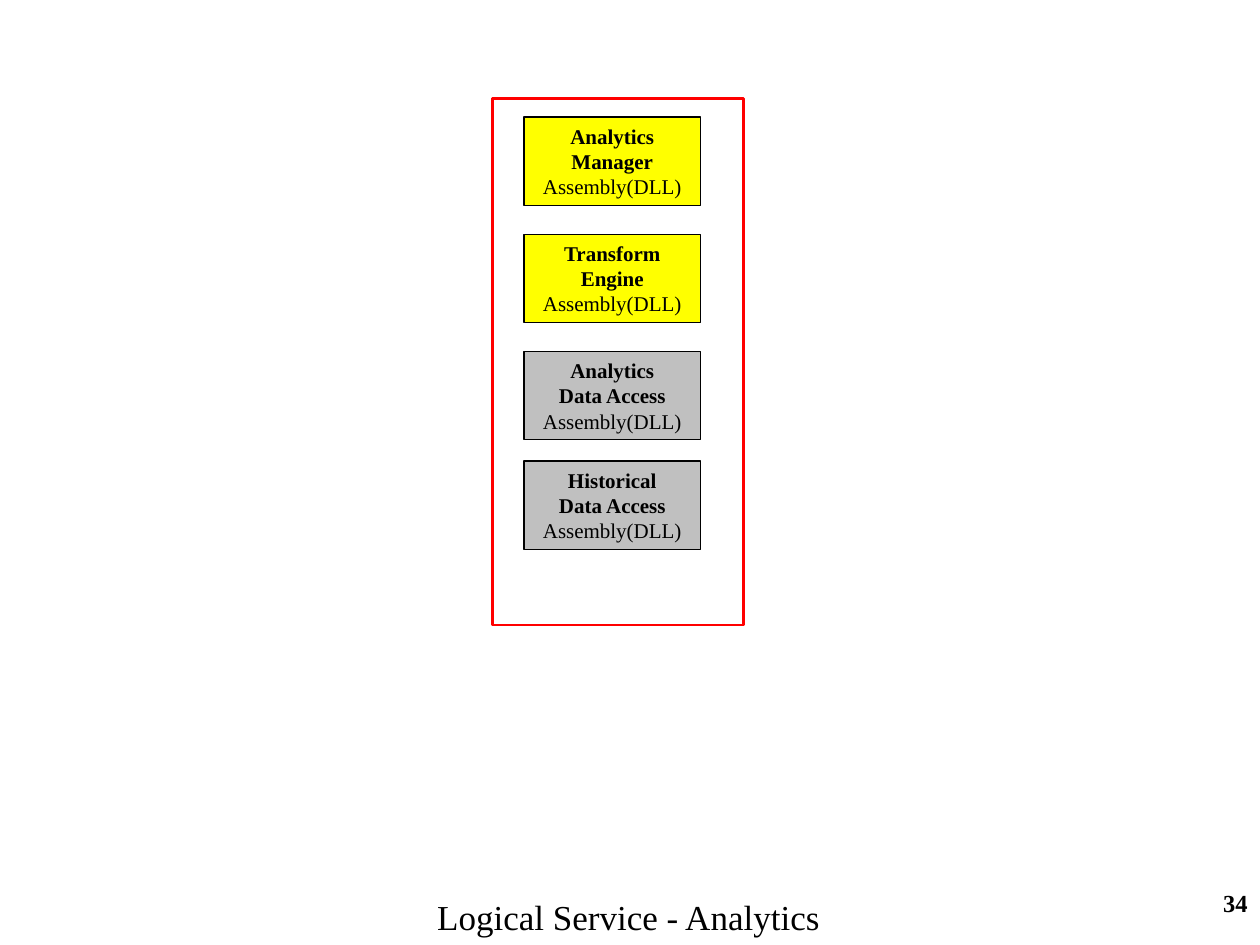
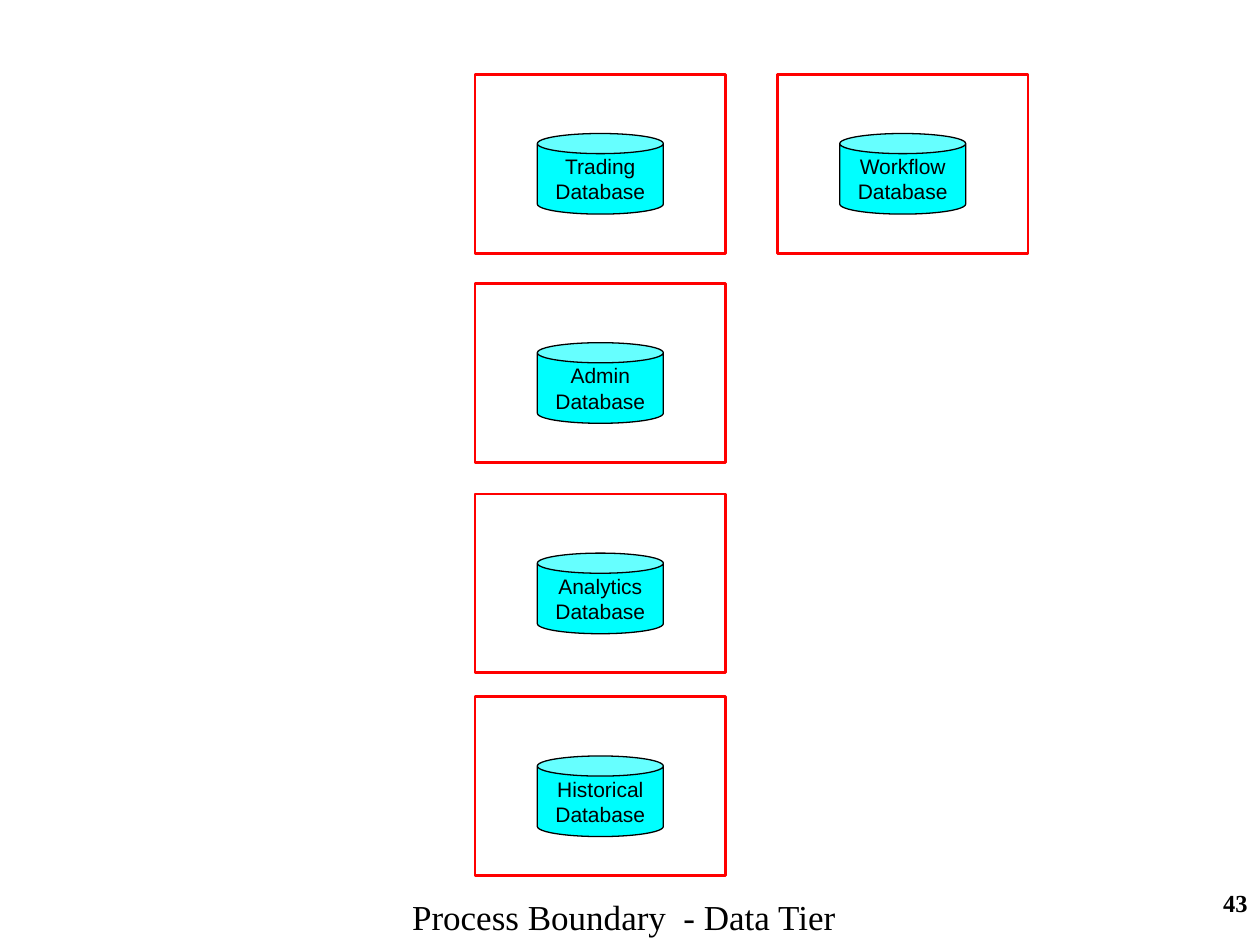
from pptx import Presentation
from pptx.dml.color import RGBColor
from pptx.enum.shapes import MSO_SHAPE
from pptx.enum.text import MSO_ANCHOR, MSO_AUTO_SIZE, PP_ALIGN
from pptx.util import Inches, Pt

BLACK = RGBColor(0x00, 0x00, 0x00)
RED = RGBColor(0xFF, 0x00, 0x00)
YELLOW = RGBColor(0xFF, 0xFF, 0x00)
GRAY = RGBColor(0xC0, 0xC0, 0xC0)
CYAN = RGBColor(0x00, 0xFF, 0xFF)
SERIF, SANS = "Times New Roman", "Arial"
TITLE_ONLY = 5

# Service stack: two rows at an even pitch, then the data access pair
BOX_W, BOX_H = 1.4, 0.7
BOX_LEFT, BOX_TOP, BOX_PITCH = 4.16, 0.93, 0.93
LAST_BOX_TOP = 3.66

# Data tier grid
BOUNDARY_W, BOUNDARY_H = 1.99, 1.42
COLUMNS = (3.77, 6.17)
ROWS = (0.59, 2.25, 3.92, 5.53)
CAN_W, CAN_H = 1, 0.64
CAN_DROP = 0.47


def set_font(p, name, size, bold=False):
    p.font.name = name
    p.font.size = Pt(size)
    p.font.bold = bold
    p.font.color.rgb = BLACK


def add_slide(prs, title, number, left, width):
    s = prs.slides.add_slide(prs.slide_layouts[TITLE_ONLY])

    # Page number in the bottom right corner
    box = s.shapes.add_textbox(Inches(7.92), Inches(7), Inches(2.08), Inches(0.5))
    box.text_frame.word_wrap = True
    p = box.text_frame.paragraphs[0]
    p.text = str(number)
    p.alignment = PP_ALIGN.RIGHT
    set_font(p, SERIF, 14, bold=True)

    # Title along the bottom edge
    sp = s.shapes.title
    sp.left, sp.top = Inches(left), Inches(7.06)
    sp.width, sp.height = Inches(width), Inches(0.44)
    tf = sp.text_frame
    tf.text = title
    tf.auto_size = MSO_AUTO_SIZE.NONE
    tf.word_wrap = False
    tf.vertical_anchor = MSO_ANCHOR.TOP
    p = tf.paragraphs[0]
    p.alignment = PP_ALIGN.LEFT
    set_font(p, SERIF, 20)
    return s


def add_shape(s, kind, left, top, width, height, line, line_width, fill=None):
    sp = s.shapes.add_shape(kind, Inches(left), Inches(top),
                            Inches(width), Inches(height))
    sp.shadow.inherit = False
    sp.line.color.rgb = line
    sp.line.width = Pt(line_width)
    if fill is None:
        sp.fill.background()
    else:
        sp.fill.solid()
        sp.fill.fore_color.rgb = fill
    return sp


def add_boundary(s, left, top, height=BOUNDARY_H):
    add_shape(s, MSO_SHAPE.RECTANGLE, left, top, BOUNDARY_W, height, RED, 1.5)


def add_label(sp, lines, font, bold_lines=0):
    tf = sp.text_frame
    tf.word_wrap = False
    tf.vertical_anchor = MSO_ANCHOR.MIDDLE
    tf.text = "\n".join(lines)
    for i, p in enumerate(tf.paragraphs):
        p.alignment = PP_ALIGN.CENTER
        set_font(p, font, 12, bold=i < bold_lines)


def add_assembly(s, top, name, fill):
    sp = add_shape(s, MSO_SHAPE.RECTANGLE, BOX_LEFT, top, BOX_W, BOX_H,
                   BLACK, 0.75, fill)
    add_label(sp, (*name, "Assembly(DLL)"), SERIF, bold_lines=len(name))


def add_database(s, column, row, name):
    left, top = COLUMNS[column], ROWS[row]
    sp = add_shape(s, MSO_SHAPE.CAN, left + (BOUNDARY_W - CAN_W) / 2,
                   top + CAN_DROP, CAN_W, CAN_H, BLACK, 0.75, CYAN)
    add_label(sp, (name, "Database"), SANS)
    add_boundary(s, left, top)


def main():
    prs = Presentation()
    prs.slide_width, prs.slide_height = Inches(10), Inches(7.5)

    # Analytics service
    s = add_slide(prs, "Logical Service - Analytics", 34, 3.37, 3.26)
    add_boundary(s, 3.91, 0.78, height=4.18)
    assemblies = (
        (("Analytics", "Manager"), YELLOW),
        (("Transform", "Engine"), YELLOW),
        (("Analytics", "Data Access"), GRAY),
    )
    for i, (name, fill) in enumerate(assemblies):
        add_assembly(s, BOX_TOP + i * BOX_PITCH, name, fill)
    add_assembly(s, LAST_BOX_TOP, ("Historical", "Data Access"), GRAY)

    # Data tier
    s = add_slide(prs, "Process Boundary  - Data Tier", 43, 3.17, 3.65)
    for row, name in enumerate(("Trading", "Admin", "Analytics", "Historical")):
        add_database(s, 0, row, name)
    add_database(s, 1, 0, "Workflow")

    prs.save("out.pptx")


if __name__ == "__main__":
    main()
